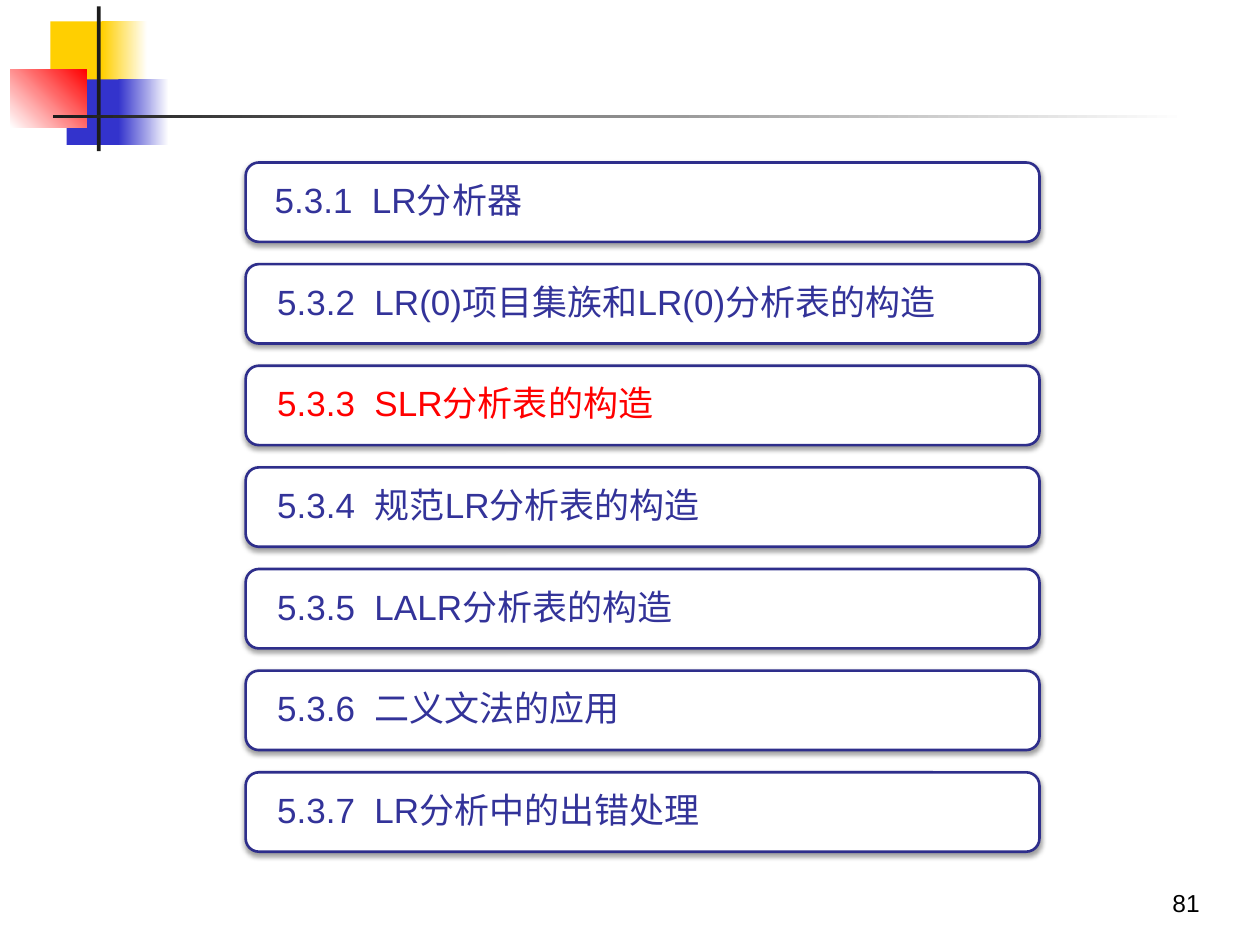
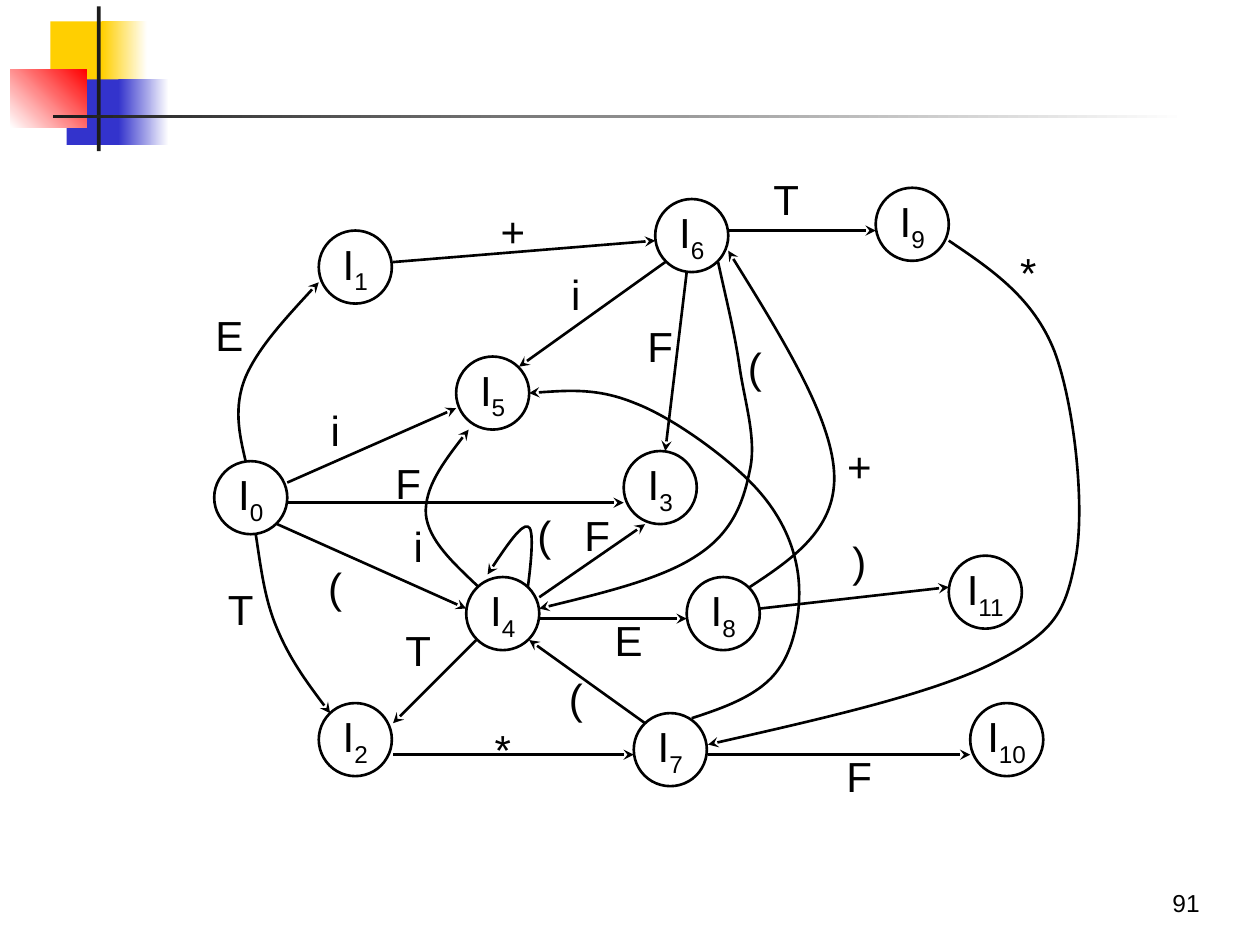
from lxml.etree import SubElement
from pptx import Presentation
from pptx.dml.color import RGBColor
from pptx.enum.shapes import MSO_CONNECTOR, MSO_SHAPE
from pptx.enum.text import MSO_ANCHOR, PP_ALIGN
from pptx.oxml.ns import qn
from pptx.util import Inches, Pt

BLACK = RGBColor(0x00, 0x00, 0x00)
WHITE = RGBColor(0xFF, 0xFF, 0xFF)
YELLOW = RGBColor(0xFF, 0xCF, 0x01)
BLUE = RGBColor(0x33, 0x33, 0xCC)
RED = RGBColor(0xFF, 0x00, 0x00)
CHARCOAL = RGBColor(0x1C, 0x1C, 0x1C)
CARD_BORDER = RGBColor(0x2E, 0x2E, 0x8B)
CARD_TEXT = RGBColor(0x33, 0x33, 0x99)

FONT = "Arial"
NODE_SIZE = 0.58
LINE_WIDTH = Pt(1.5)

DECORATIONS = [
    (0.4, 0.17, 0.48, 0.52, YELLOW, YELLOW, 0),
    (0.81, 0.17, 0.36, 0.52, YELLOW, WHITE, 0),
    (0.53, 0.63, 0.46, 0.52, BLUE, BLUE, 0),
    (0.94, 0.63, 0.4, 0.52, BLUE, WHITE, 0),
    (0.08, 0.55, 0.61, 0.46, WHITE, RED, 45),
    (0.77, 0.05, 0.03, 1.15, CHARCOAL, CHARCOAL, 0),
    (0.42, 0.91, 9, 0.03, CHARCOAL, WHITE, 0),
]

SECTIONS = [
    "5.3.1  LR分析器",
    "5.3.2  LR(0)项目集族和LR(0)分析表的构造",
    "5.3.3  SLR分析表的构造",
    "5.3.4  规范LR分析表的构造",
    "5.3.5  LALR分析表的构造",
    "5.3.6  二义文法的应用",
    "5.3.7  LR分析中的出错处理",
]
CURRENT_SECTION = 2
CARD_TOP = 1.29
CARD_PITCH = (6.13 - CARD_TOP) / (len(SECTIONS) - 1)

STATES = [
    (1.7, 3.66), (2.53, 1.83), (2.53, 5.58), (4.95, 3.58),
    (3.7, 4.58), (3.62, 2.83), (5.2, 1.58), (5.03, 5.66),
    (5.45, 4.58), (6.95, 1.49), (7.7, 5.58), (7.53, 4.41),
]

STRAIGHT_ARROWS = [
    (2.28, 3.83, 3.62, 3.24),
    (2.28, 3.99, 4.95, 3.99),
    (2.2, 4.16, 3.7, 4.83),
    (3.78, 5.08, 3.12, 5.74),
    (5.12, 5.74, 4.2, 5.08),
    (3.12, 5.99, 5.03, 5.99),
    (5.62, 5.99, 7.7, 5.99),
    (3.12, 2.08, 5.2, 1.91),
    (5.78, 1.83, 6.95, 1.83),
    (4.28, 4.74, 5.12, 4.16),
    (4.28, 4.91, 5.45, 4.91),
    (5.28, 2.08, 4.12, 2.91),
    (5.45, 2.16, 5.28, 3.58),
    (6.03, 4.83, 7.53, 4.66),
]

CURVED_ARROWS = [
    [(1.95, 3.66), (1.9, 3.45), (1.85, 3.23), (1.95, 2.99),
     (2.05, 2.76), (2.29, 2.5), (2.53, 2.24)],
    [(2.03, 4.24), (2.07, 4.5), (2.1, 4.76), (2.2, 4.99),
     (2.3, 5.23), (2.46, 5.45), (2.62, 5.66)],
    [(3.8, 4.66), (3.6, 4.47), (3.4, 4.29), (3.38, 4.08),
     (3.37, 3.87), (3.54, 3.64), (3.72, 3.41)],
    [(4.19, 4.66), (4.22, 4.43), (4.24, 4.19), (4.19, 4.18),
     (4.14, 4.16), (4, 4.36), (3.87, 4.56)],
    [(5.49, 5.7), (5.77, 5.61), (6.04, 5.51), (6.18, 5.31),
     (6.32, 5.12), (6.37, 4.78), (6.33, 4.53),
     (6.29, 4.28), (6.17, 4.04), (5.95, 3.82),
     (5.73, 3.6), (5.33, 3.31), (5.04, 3.2),
     (4.75, 3.08), (4.47, 3.1), (4.2, 3.12)],
    [(5.95, 4.66), (6.3, 4.43), (6.65, 4.19), (6.62, 3.74),
     (6.59, 3.3), (6.19, 2.65), (5.78, 1.99)],
    [(7.53, 1.91), (7.87, 2.14), (8.2, 2.36), (8.37, 2.79),
     (8.53, 3.22), (8.62, 4.06), (8.53, 4.47),
     (8.45, 4.88), (8.35, 5.03), (7.87, 5.27),
     (7.38, 5.51), (6.5, 5.71), (5.62, 5.91)],
    [(5.7, 2.08), (5.76, 2.36), (5.83, 2.63), (5.87, 2.91),
     (5.91, 3.19), (6.01, 3.49), (5.95, 3.74),
     (5.9, 3.99), (5.81, 4.23), (5.53, 4.41),
     (5.26, 4.59), (4.77, 4.71), (4.28, 4.83)],
]

EDGE_LABELS = [
    ("E", 1.53, 2.41, 0.5), ("+", 3.78, 1.58, 0.5),
    ("T", 5.95, 1.33, 0.5), ("*", 7.87, 1.91, 0.5),
    ("T", 1.62, 4.58, 0.5), ("T", 3.03, 4.91, 0.5),
    ("i", 2.37, 3.16, 0.5), ("F", 2.95, 3.58, 0.5),
    ("(", 2.37, 4.41, 0.5), ("i", 3.03, 4.08, 0.5),
    ("(", 4.03, 3.99, 0.5), ("F", 4.45, 3.99, 0.5),
    ("E", 4.7, 4.83, 0.5), ("(", 5.7, 2.66, 0.5),
    ("F", 4.95, 2.49, 0.5), ("i", 4.28, 2.08, 0.5),
    ("+", 6.53, 3.45, 0.5), ("F", 6.53, 5.91, 0.5),
    ("*", 3.7, 5.78, 0.33), ("(", 4.28, 5.33, 0.42),
    (")", 6.53, 4.24, 0.42),
]


def write_text(shape, text, size, color, align, anchor, wrap):
    frame = shape.text_frame
    frame.word_wrap = wrap
    frame.vertical_anchor = anchor
    paragraph = frame.paragraphs[0]
    paragraph.alignment = align
    for part in text:
        run = paragraph.add_run()
        run.text = part
        run.font.name = FONT
        run.font.size = Pt(size)
        run.font.color.rgb = color
    return paragraph


def style_arrow(arrow):
    arrow.line.color.rgb = BLACK
    arrow.line.width = LINE_WIDTH
    properties = arrow._element.spPr
    SubElement(properties.find(qn("a:ln")), qn("a:tailEnd"), type="stealth")
    SubElement(properties, qn("a:effectLst"))


presentation = Presentation()
presentation.slide_width = Inches(10)
presentation.slide_height = Inches(7.5)
blank_layout = presentation.slide_layouts[6]

slides = []
for number in ("81", "91"):
    slide = presentation.slides.add_slide(blank_layout)
    for left, top, width, height, start, end, angle in DECORATIONS:
        shape = slide.shapes.add_shape(
            MSO_SHAPE.RECTANGLE, Inches(left), Inches(top), Inches(width), Inches(height))
        shape.shadow.inherit = False
        shape.line.fill.background()
        if start == end:
            shape.fill.solid()
            shape.fill.fore_color.rgb = start
        else:
            shape.fill.gradient()
            shape.fill.gradient_angle = angle
            for stop, color in zip(shape.fill.gradient_stops, (start, end)):
                stop.color.rgb = color
    page_number = slide.shapes.add_textbox(
        Inches(7.54), Inches(6.83), Inches(2.08), Inches(0.5))
    write_text(page_number, [number], 14, BLACK, PP_ALIGN.RIGHT, MSO_ANCHOR.BOTTOM, True)
    slides.append(slide)

outline_slide, automaton_slide = slides

for index, section in enumerate(SECTIONS):
    top = CARD_TOP + index * CARD_PITCH
    card = outline_slide.shapes.add_shape(
        MSO_SHAPE.ROUNDED_RECTANGLE, Inches(1.95), Inches(top), Inches(6.3), Inches(0.63))
    card.fill.solid()
    card.fill.fore_color.rgb = WHITE
    card.line.color.rgb = CARD_BORDER
    card.line.width = LINE_WIDTH
    card.shadow.inherit = False
    effects = card._element.spPr.find(qn("a:effectLst"))
    shadow = SubElement(effects, qn("a:outerShdw"), blurRad=str(Pt(3.1)),
                        dist=str(Pt(1.6)), dir="5400000", rotWithShape="0")
    shadow_color = SubElement(shadow, qn("a:srgbClr"), val=str(BLACK))
    SubElement(shadow_color, qn("a:alpha"), val="38000")

    left = 1.98 if index == 0 else 2
    caption = outline_slide.shapes.add_textbox(
        Inches(left), Inches(top + 0.03), Inches(6.21), Inches(0.57))
    frame = caption.text_frame
    frame.margin_left = frame.margin_right = Inches(0.2)
    frame.margin_top = frame.margin_bottom = 0
    color = RED if index == CURRENT_SECTION else CARD_TEXT
    paragraph = write_text(
        caption, [section], 20, color, PP_ALIGN.LEFT, MSO_ANCHOR.MIDDLE, True)
    paragraph.line_spacing = 0.9

shapes = automaton_slide.shapes
for index, (left, top) in enumerate(STATES):
    state = shapes.add_shape(
        MSO_SHAPE.OVAL, Inches(left), Inches(top), Inches(NODE_SIZE), Inches(NODE_SIZE))
    state.shadow.inherit = False
    state.fill.background()
    state.line.color.rgb = BLACK
    state.line.width = LINE_WIDTH
    paragraph = write_text(
        state, ["I", str(index)], 24, BLACK, PP_ALIGN.CENTER, MSO_ANCHOR.MIDDLE, False)
    paragraph.runs[1].font._element.set("baseline", "-25000")

for ends in STRAIGHT_ARROWS:
    arrow = shapes.add_connector(MSO_CONNECTOR.STRAIGHT, *map(Inches, ends))
    style_arrow(arrow)

for points in CURVED_ARROWS:
    start, *controls = [(Inches(x), Inches(y)) for x, y in points]
    builder = shapes.build_freeform(*start)
    builder.add_line_segments(controls, close=False)
    arrow = builder.convert_to_shape()
    arrow.fill.background()
    segments = list(arrow._element.iter(qn("a:lnTo")))
    outline = segments[0].getparent()
    for first in range(0, len(segments), 3):
        curve = SubElement(outline, qn("a:cubicBezTo"))
        for segment in segments[first:first + 3]:
            curve.append(segment[0])
            outline.remove(segment)
    style_arrow(arrow)

for symbol, left, top, height in EDGE_LABELS:
    label = shapes.add_textbox(Inches(left), Inches(top), Inches(NODE_SIZE), Inches(height))
    write_text(label, [symbol], 24, BLACK, PP_ALIGN.CENTER, MSO_ANCHOR.MIDDLE, False)

presentation.save("out.pptx")
